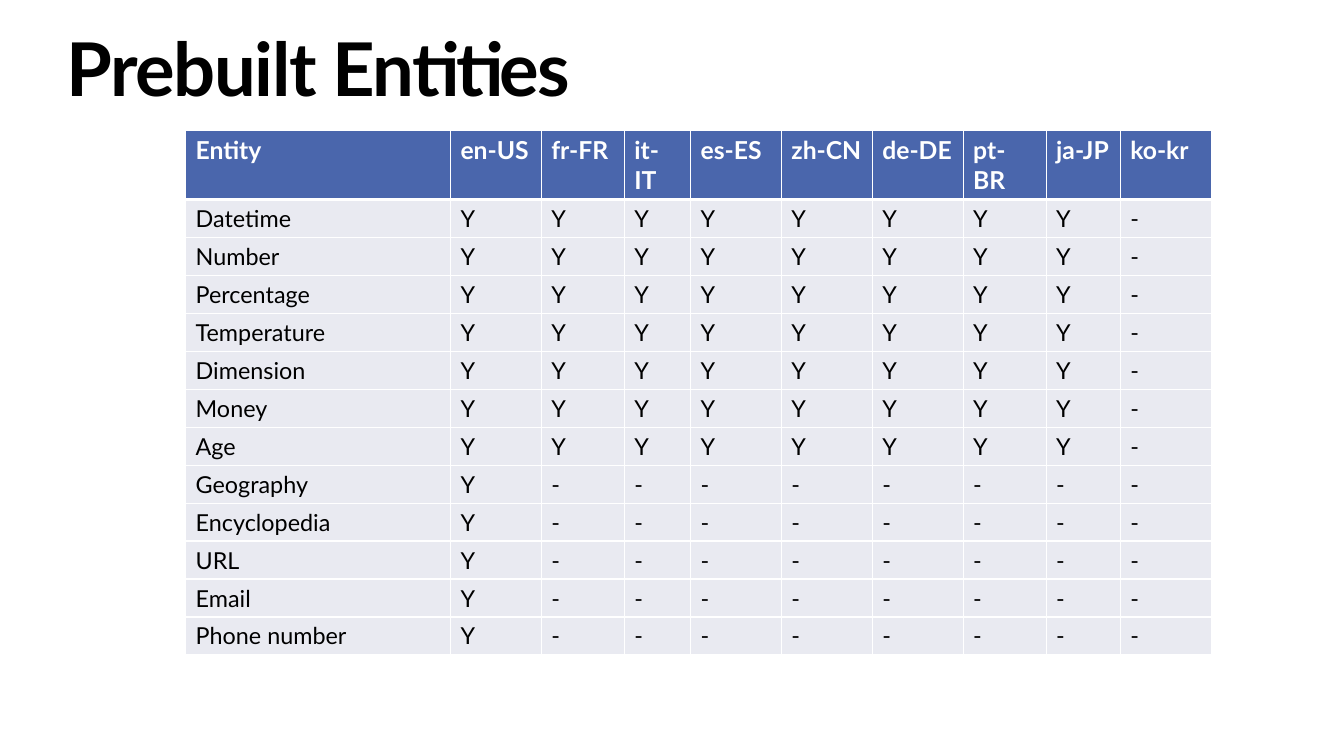
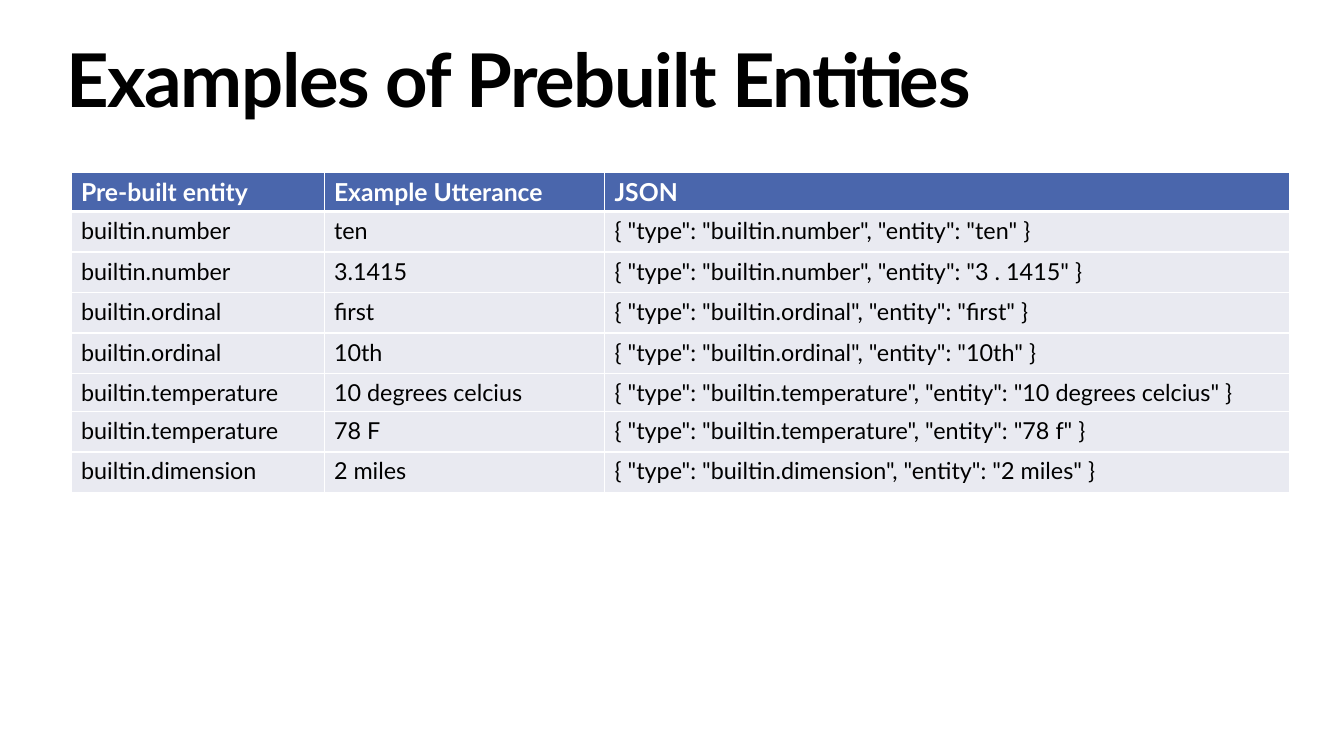
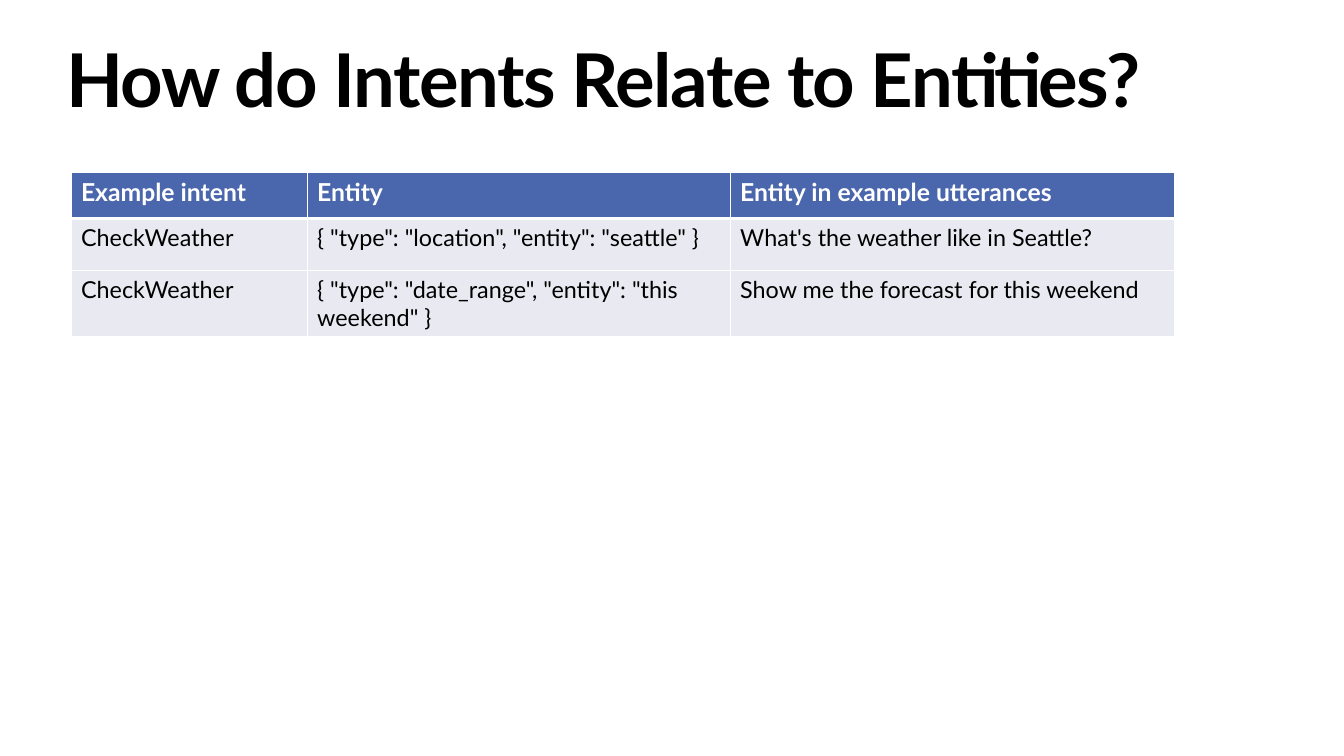
"""Build three slides of tables on prebuilt entities and intents."""
from dataclasses import dataclass

from lxml import etree
from pptx import Presentation
from pptx.dml.color import RGBColor
from pptx.enum.text import MSO_ANCHOR, MSO_AUTO_SIZE, PP_ALIGN
from pptx.oxml.ns import qn
from pptx.util import Inches, Length, Pt

TOP = MSO_ANCHOR.TOP
FIXED = MSO_AUTO_SIZE.NONE
JUSTIFY = PP_ALIGN.JUSTIFY

WIDTH, HEIGHT = Inches(13.6), Inches(7.65)
COLS = 136
UNIT = WIDTH / COLS

FONT = "Lato"
BLACK, WHITE = "000000", "FFFFFF"
BLUE, PALE = "4A66AC", "E9EAF1"
TITLE_LEFT, TITLE_WIDE, TITLE_HIGH = 5.7, 130, 10
TITLE_SIZE, HEAD_SIZE, BODY_SIZE = 54, 18, 17
TITLE_ONLY = 5


@dataclass
class Grid:
    """A table placed and sized in grid units."""
    left: float
    top: float
    cols: list[float]
    rows: list[float]
    cells: list[list[str]]


@dataclass
class Page:
    """A titled slide with one table."""
    title: str
    top: float
    grid: Grid


def span(units: float) -> Length:
    """Turn grid units into a length."""
    return Length(round(units * UNIT))


def color(code: str) -> RGBColor:
    """Turn a hex string into a colour."""
    return RGBColor.from_string(code)


def style(frame, size: float, code: str, bold: bool) -> None:
    """Format every run of a text frame."""
    for par in frame.paragraphs:
        for run in par.runs:
            font = run.font
            font.name, font.size, font.bold = FONT, Pt(size), bold
            font.color.rgb = color(code)


def edge(cell, side: str, width: float) -> None:
    """Draw one white border of a cell."""
    props = cell._tc.get_or_add_tcPr()
    line = etree.SubElement(props, qn(f"a:ln{side}"), w=str(Pt(width)))
    fill = etree.SubElement(line, qn("a:solidFill"))
    etree.SubElement(fill, qn("a:srgbClr"), val=WHITE)


def draw_title(slide, page: Page) -> None:
    """Place and format the title."""
    box = slide.shapes.title
    box.left, box.top = span(TITLE_LEFT), span(page.top)
    box.width, box.height = span(TITLE_WIDE), span(TITLE_HIGH)
    frame = box.text_frame
    frame.text = page.title
    frame.auto_size, frame.vertical_anchor = FIXED, TOP
    par = frame.paragraphs[0]
    par.alignment, par.line_spacing = JUSTIFY, 0.9
    style(frame, TITLE_SIZE, BLACK, True)
    par.runs[0].font._element.set("spc", "-100")


def draw_cell(cell, text: str, head: bool) -> None:
    """Fill, border and write one cell."""
    sides = {"L": 1, "R": 1, "T": 1, "B": 3} if head else {"L": 1, "R": 1, "B": 1}
    for side, width in sides.items():
        edge(cell, side, width)
    cell.fill.solid()
    cell.fill.fore_color.rgb = color(BLUE if head else PALE)
    cell.text_frame.text = text
    style(cell.text_frame, HEAD_SIZE if head else BODY_SIZE,
          WHITE if head else BLACK, head)


def draw_grid(slide, grid: Grid) -> None:
    """Draw a table with a header row."""
    table = slide.shapes.add_table(
        len(grid.rows), len(grid.cols), span(grid.left), span(grid.top),
        span(sum(grid.cols)), span(sum(grid.rows))).table
    table.horz_banding = False
    for col, wide in zip(table.columns, grid.cols):
        col.width = span(wide)
    for row, high in zip(table.rows, grid.rows):
        row.height = span(high)
    for i, texts in enumerate(grid.cells):
        for j, text in enumerate(texts):
            draw_cell(table.cell(i, j), text, i == 0)


def entry(kind: str, value: str) -> str:
    """Write an entity as JSON."""
    return f'{{ "type": "{kind}", "entity": "{value}" }}'


def sample(name: str, said: str, value: str = "") -> list[str]:
    """Make a row for a built-in entity."""
    kind = f"builtin.{name}"
    return [kind, said, entry(kind, value or said)]


LANGS = ["en-US", "fr-FR", "it-IT", "es-ES", "zh-CN", "de-DE", "pt-BR", "ja-JP", "ko-kr"]
WIDELY = ["Datetime", "Number", "Percentage", "Temperature", "Dimension", "Money", "Age"]
ENGLISH = ["Geography", "Encyclopedia", "URL", "Email", "Phone number"]

PAGES = [
    Page("Prebuilt Entities", 2.8, Grid(
        18.8, 13.2,
        [26.8, 9.2, 8.4, 6.7, 9.2, 9.2, 9.2, 8.4, 7.5, 9.2],
        [5.8] + [3.4] * 12,
        [["Entity", *LANGS]]
        + [[name] + ["Y"] * 8 + ["-"] for name in WIDELY]
        + [[name, "Y"] + ["-"] * 8 for name in ENGLISH])),
    Page("Examples of Prebuilt Entities", 3.9, Grid(
        7.2, 17.4,
        [25.6, 28.4, 69.3],
        [2.3] + [4.1] * 4 + [3.6] + [4.1] * 2,
        [["Pre-built entity", "Example Utterance", "JSON"],
         sample("number", "ten"),
         sample("number", "3.1415", "3 . 1415"),
         sample("ordinal", "first"),
         sample("ordinal", "10th"),
         sample("temperature", "10 degrees celcius"),
         sample("temperature", "78 F", "78 f"),
         sample("dimension", "2 miles")])),
    Page("How do Intents Relate to Entities?", 3.9, Grid(
        7.2, 17.4,
        [23.9, 42.8, 45],
        [4.7, 5.3, 6.7],
        [["Example intent", "Entity", "Entity in example utterances"],
         ["CheckWeather", entry("location", "seattle"),
          "What's the weather like in Seattle?"],
         ["CheckWeather", entry("date_range", "this weekend"),
          "Show me the forecast for this weekend"]])),
]


def main() -> None:
    """Build and save the deck."""
    deck = Presentation()
    deck.slide_width, deck.slide_height = WIDTH, HEIGHT
    for page in PAGES:
        slide = deck.slides.add_slide(deck.slide_layouts[TITLE_ONLY])
        draw_title(slide, page)
        draw_grid(slide, page.grid)
    deck.save("out.pptx")


if __name__ == "__main__":
    main()
